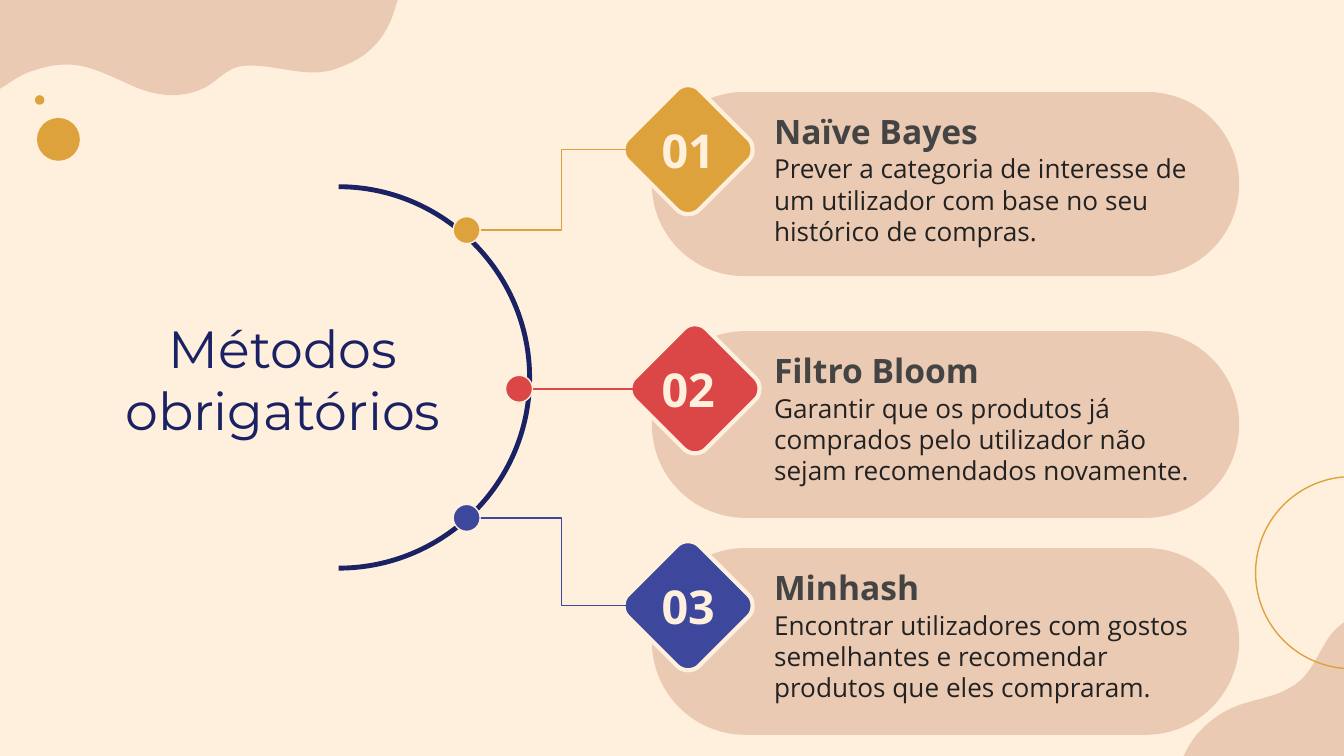
import pptx
import pptx.util
import pptx.dml.color
import pptx.enum.shapes
import pptx.enum.text
from lxml import etree

Cm, Pt = pptx.util.Cm, pptx.util.Pt
RGBColor = pptx.dml.color.RGBColor
SHAPE = pptx.enum.shapes.MSO_SHAPE
LINK = pptx.enum.shapes.MSO_CONNECTOR
ALIGN = pptx.enum.text.PP_ALIGN
ANCHOR = pptx.enum.text.MSO_ANCHOR
NS = "{http://schemas.openxmlformats.org/drawingml/2006/main}"

CREAM = RGBColor(0xFF, 0xF0, 0xDE)
SAND = RGBColor(0xEB, 0xCA, 0xB3)
GOLD = RGBColor(0xDE, 0xA2, 0x3C)
RED = RGBColor(0xDB, 0x46, 0x46)
BLUE = RGBColor(0x3D, 0x48, 0x9C)
NAVY = RGBColor(0x1A, 0x22, 0x63)
GREY = RGBColor(0x44, 0x44, 0x44)
BLACK = RGBColor(0x22, 0x22, 0x22)

TITLE = "Métodos obrigatórios"
# heading, text, colour, top, pill height, diamond left, dot centre (cm)
ITEMS = [
    ("Naïve Bayes",
     "Prever a categoria de interesse de um utilizador com base no seu histórico de compras.",
     GOLD, 1.74, 3.48, 11.76, (8.82, 4.35)),
    ("Filtro Bloom",
     "Garantir que os produtos já comprados pelo utilizador não sejam recomendados novamente.",
     RED, 6.26, 3.53, 11.89, (9.81, 7.35)),
    ("Minhash",
     "Encontrar utilizadores com gostos semelhantes e recomendar produtos que eles compraram.",
     BLUE, 10.36, 3.53, 11.76, (8.82, 9.79)),
]
DOT = 0.51
BEND = 10.61

# Outlines in cm: a start point, then lines (2 numbers) or curves (6 numbers)
CLOUD = [
    (0, 0), (0, 1.68), (0.18, 1.57, 0.33, 1.45, 0.53, 1.37),
    (0.81, 1.27, 1.04, 1.22, 1.24, 1.22), (1.73, 1.22, 2.08, 1.45, 2.64, 1.68),
    (2.84, 1.75, 3.05, 1.8, 3.25, 1.8), (3.48, 1.8, 3.68, 1.75, 3.89, 1.65),
    (4.19, 1.47, 4.32, 1.24, 4.7, 1.24), (5.16, 1.24, 5.51, 1.37, 5.92, 1.37),
    (6.07, 1.37, 6.25, 1.35, 6.43, 1.27), (7.01, 1.07, 7.34, 0.66, 7.49, 0.08),
    (7.49, 0.05, 7.52, 0.03, 7.52, 0),
]
HILL = [
    (22.61, 13.89), (22.63, 13.87, 22.66, 13.84, 22.68, 13.82),
    (22.89, 13.59, 23.16, 13.41, 23.47, 13.31), (23.77, 13.21, 24.13, 13.16, 24.41, 12.98),
    (24.77, 12.78, 24.89, 12.37, 25.12, 12.04), (25.25, 11.86, 25.45, 11.68, 25.68, 11.66),
    (26.16, 11.61, 26.34, 12.07, 26.34, 12.47), (26.34, 12.95, 26.11, 13.41, 25.88, 13.84),
    (25.68, 14.22, 25.4, 14.58, 25.1, 14.86), (24.64, 15.27, 24.08, 15.65, 23.5, 15.82),
    (23.06, 15.95, 22.56, 15.8, 22.33, 15.42), (22.05, 14.94, 22.3, 14.3, 22.61, 13.89),
]
ARC = [(6.4, 3.53), (8.38, 3.53, 10.01, 5.16, 10.01, 7.14),
       (10.01, 9.14, 8.38, 10.74, 6.4, 10.74)]
DIAMOND = [
    (1.24, 0), (1.17, 0, 1.09, 0.03, 1.04, 0.08), (0.1, 1.02),
    (0, 1.12, 0, 1.32, 0.1, 1.42), (1.04, 2.36),
    (1.09, 2.41, 1.17, 2.44, 1.24, 2.44), (1.32, 2.44, 1.4, 2.41, 1.45, 2.36),
    (2.39, 1.42), (2.49, 1.32, 2.49, 1.12, 2.39, 1.02), (1.45, 0.08),
    (1.4, 0.03, 1.32, 0, 1.24, 0),
]


def paint(shape, fill=None, line=None, width=0.75):
    shape.shadow.inherit = False
    if fill is None:
        shape.fill.background()
    else:
        shape.fill.solid()
        shape.fill.fore_color.rgb = fill
    if line is None:
        shape.line.fill.background()
    else:
        shape.line.color.rgb = line
        shape.line.width = Pt(width)


def draw(outline, left=0, top=0, close=True, **look):
    """Build a freeform, then merge each three control points into a curve."""
    pts = [(Cm(left + seg[i]), Cm(top + seg[i + 1]))
           for seg in outline for i in range(0, len(seg), 2)]
    form = slide.shapes.build_freeform(*pts[0])
    form.add_line_segments(pts[1:], close=close)
    shape = form.convert_to_shape()
    steps = iter(list(shape._element.spPr.iter(NS + "lnTo")))
    for seg in outline[1:]:
        first = next(steps)
        if len(seg) == 6:
            curve = etree.Element(NS + "cubicBezTo")
            first.addprevious(curve)
            for step in (first, next(steps), next(steps)):
                curve.append(step[0])
                step.getparent().remove(step)
    paint(shape, **look)


def add(kind, left, top, width, height, **look):
    shape = slide.shapes.add_shape(kind, Cm(left), Cm(top), Cm(width), Cm(height))
    paint(shape, **look)
    return shape


def join(start, end, color):
    """Link a dot to its diamond, bending at BEND when heights differ."""
    bent = start[1] != end[1]
    link = slide.shapes.add_connector(LINK.ELBOW if bent else LINK.STRAIGHT,
                                      *[Cm(v) for v in start + end])
    link.line.color.rgb = color
    link.line.width = Pt(0.75)
    props = link._element.spPr
    etree.SubElement(props, NS + "effectLst")
    if bent:
        geom = props.find(NS + "prstGeom")
        guides = geom.find(NS + "avLst")
        if guides is None:
            guides = etree.SubElement(geom, NS + "avLst")
        share = (BEND - start[0]) / (end[0] - start[0])
        etree.SubElement(guides, NS + "gd", name="adj1", fmla=f"val {round(share * 100000)}")


def write(box, text, font, size, color, bold=False, align=ALIGN.LEFT, anchor=ANCHOR.TOP):
    frame = box.text_frame
    frame.text = text
    frame.word_wrap = True
    frame.auto_size = pptx.enum.text.MSO_AUTO_SIZE.NONE
    frame.vertical_anchor = anchor
    frame.margin_left = frame.margin_right = Cm(0.25)
    frame.margin_top = frame.margin_bottom = Cm(0.25)
    para = frame.paragraphs[0]
    para.alignment = align
    para.font.name, para.font.size, para.font.bold = font, Pt(size), bold
    para.font.color.rgb = color


def label(left, top, width, height, *args, **look):
    box = slide.shapes.add_textbox(Cm(left), Cm(top), Cm(width), Cm(height))
    write(box, *args, **look)


deck = pptx.Presentation()
deck.slide_width, deck.slide_height = Cm(25.4), Cm(14.29)
slide = deck.slides.add_slide(deck.slide_layouts[5])
slide.background.fill.solid()
slide.background.fill.fore_color.rgb = CREAM

draw(CLOUD, fill=SAND)
draw(HILL, fill=SAND)
add(SHAPE.OVAL, 0.66, 1.8, 0.18, 0.18, fill=GOLD)
add(SHAPE.OVAL, 0.7, 2.23, 0.81, 0.81, fill=GOLD)
add(SHAPE.OVAL, 23.73, 9.01, 3.63, 3.63, line=GOLD)

title = slide.shapes.title
title.left, title.top, title.width, title.height = Cm(1.61), Cm(5.54), Cm(7.47), Cm(3.23)
write(title, TITLE, "Montserrat", 28, NAVY, align=ALIGN.CENTER, anchor=ANCHOR.MIDDLE)
draw(ARC, close=False, line=NAVY, width=2.61)

for num, (head, text, color, top, height, left, (x, y)) in enumerate(ITEMS, 1):
    pill = add(SHAPE.ROUNDED_RECTANGLE, 12.32, top, 11.1, height, fill=SAND)
    pill.adjustments[0] = 0.5
    draw(DIAMOND, left, top - 0.13, fill=color, line=CREAM, width=2.25)
    join((x, y), (left + 0.13, round(top + 1.09, 2)), color)
    add(SHAPE.OVAL, x - DOT / 2, y - DOT / 2, DOT, DOT, fill=color, line=CREAM)
    label(11.76, top, 2.49, 2.18, f"{num:02}", "Open Sans", 25, CREAM, bold=True,
          align=ALIGN.CENTER, anchor=ANCHOR.MIDDLE)
    label(14.38, top + 0.1, 8.46, 0.91, head, "Open Sans", 18, GREY, bold=True)
    label(14.38, top + 0.9, 8.46, 2.21, text, "Open Sans", 14, BLACK)

deck.save("out.pptx")
